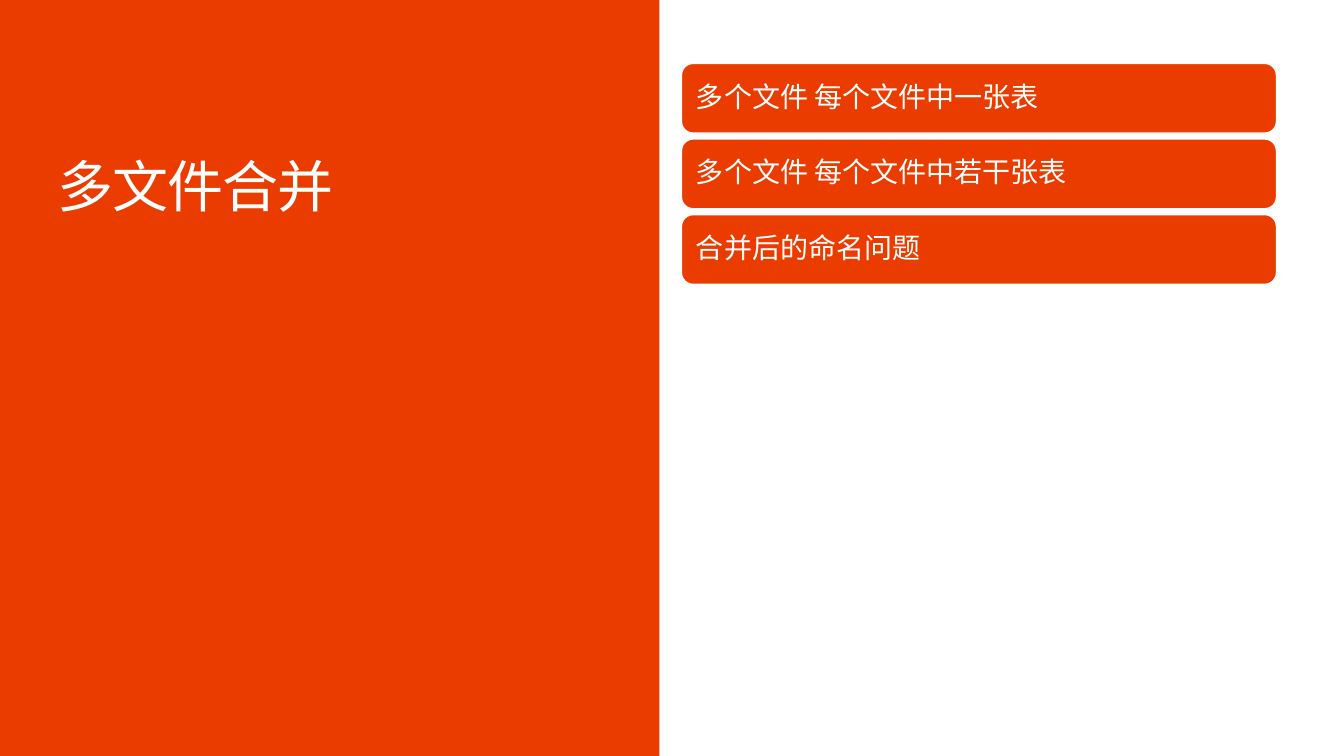
"""Build a split slide: a title on a coloured panel and a stack of topic bars."""
from dataclasses import dataclass

from lxml.etree import SubElement
from pptx import Presentation
from pptx.dml.color import RGBColor
from pptx.enum.shapes import MSO_SHAPE
from pptx.enum.text import MSO_ANCHOR, MSO_AUTO_SIZE, PP_ALIGN
from pptx.oxml.ns import qn
from pptx.util import Inches, Pt

COLOURS = {"accent": "EB3C00", "white": "FFFFFF"}
FONT = "Noto Sans CJK SC"
WIDTH, HEIGHT = 13.33, 7.5
PANEL_WIDTH = 6.54
BAR_LEFT, BAR_TOP, BAR_WIDTH, BAR_HEIGHT, BAR_PITCH = 6.76, 0.63, 5.9, 0.69, 0.75


@dataclass(frozen=True)
class TextStyle:
    size: float
    before: float
    after: float
    inset: float
    anchor: MSO_ANCHOR
    tracking: int = 0


TITLE = TextStyle(40, 8, 0, 0, MSO_ANCHOR.TOP, -70)
TOPIC = TextStyle(20, 0, 7, 0.11, MSO_ANCHOR.MIDDLE)
TOPICS = ("多个文件 每个文件中一张表", "多个文件 每个文件中若干张表", "合并后的命名问题")


def colour(name: str) -> RGBColor:
    """Return a palette colour."""
    return RGBColor.from_string(COLOURS[name])


def write(box, text: str, style: TextStyle) -> None:
    """Set and format the single paragraph of a box."""
    frame = box.text_frame
    frame.text = text
    frame.word_wrap = True
    frame.auto_size = MSO_AUTO_SIZE.NONE
    frame.vertical_anchor = style.anchor
    frame.margin_left = frame.margin_right = Inches(style.inset)
    frame.margin_top = frame.margin_bottom = Inches(style.inset)
    para = frame.paragraphs[0]
    para.alignment = PP_ALIGN.LEFT
    para.line_spacing = 0.9
    para.space_before, para.space_after = Pt(style.before), Pt(style.after)
    span = para.runs[0]
    span.font.size = Pt(style.size)
    span.font.name = FONT
    span.font.color.rgb = colour("white")
    properties = span.font._element if hasattr(span.font, "_element") else span._r.get_or_add_rPr()
    properties.set("spc", str(style.tracking))
    SubElement(properties, qn("a:ea")).set("typeface", FONT)


def add_block(page, kind: MSO_SHAPE, left: float, top: float, width: float, height: float):
    """Add an accent-filled shape without outline or shadow."""
    box = page.shapes.add_shape(kind, Inches(left), Inches(top), Inches(width), Inches(height))
    box.shadow.inherit = False
    box.fill.solid()
    box.fill.fore_color.rgb = colour("accent")
    box.line.fill.background()
    return box


def add_topic(page, row: int, text: str) -> None:
    """Add one rounded topic bar on its row."""
    top = BAR_TOP + row * BAR_PITCH
    bar = add_block(page, MSO_SHAPE.ROUNDED_RECTANGLE, BAR_LEFT, top, BAR_WIDTH, BAR_HEIGHT)
    bar.line.color.rgb = colour("white")
    bar.line.width = Pt(0.85)
    write(bar, text, TOPIC)


def main() -> None:
    """Build and save the deck."""
    deck = Presentation()
    deck.slide_width, deck.slide_height = Inches(WIDTH), Inches(HEIGHT)
    page = deck.slides.add_slide(deck.slide_layouts.get_by_name("Title Only"))
    title = page.shapes.title
    title.left, title.top = Inches(0.57), Inches(1.58)
    title.width, title.height = Inches(5.72), Inches(1.82)
    write(title, "多文件合并", TITLE)
    panel = add_block(page, MSO_SHAPE.RECTANGLE, 0, 0, PANEL_WIDTH, HEIGHT)
    title.element.addprevious(panel.element)
    for row, text in enumerate(TOPICS):
        add_topic(page, row, text)
    deck.save("out.pptx")


main()
